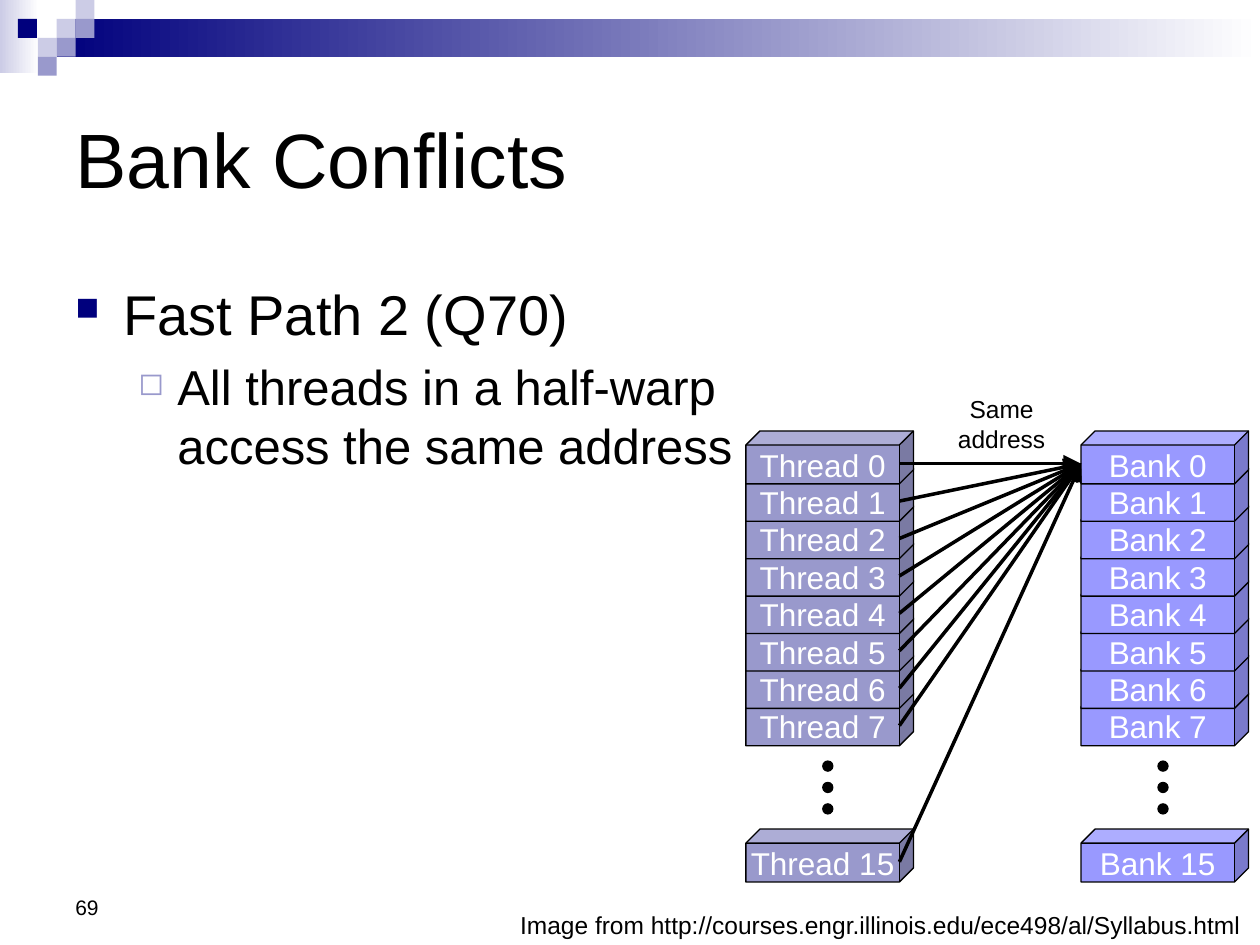
from lxml import etree
from pptx import Presentation
from pptx.dml.color import RGBColor
from pptx.enum.shapes import MSO_CONNECTOR, MSO_SHAPE
from pptx.enum.text import MSO_ANCHOR, PP_ALIGN
from pptx.oxml.ns import qn
from pptx.util import Inches, Pt

RECT, CUBE, DOT = MSO_SHAPE.RECTANGLE, MSO_SHAPE.CUBE, MSO_SHAPE.OVAL
LEFT, CENTER, RIGHT = PP_ALIGN.LEFT, PP_ALIGN.CENTER, PP_ALIGN.RIGHT
TOP, MIDDLE, BOTTOM = MSO_ANCHOR.TOP, MSO_ANCHOR.MIDDLE, MSO_ANCHOR.BOTTOM

NAVY, LAVENDER, PALE = "00007D", "9999CC", "CCCCE6"
BANK_BLUE, BLACK, WHITE = "9999FF", "000000", "FFFFFF"

WIDTH, HEIGHT = 10, 7.5
TILE = 0.15                       # grid of the corner decoration
THREAD_X, BANK_X = 5.92, 8.58     # the two stacks
STACK_TOP, ROW_PITCH = 3.42, 0.297
CUBE_W, CUBE_H, CUBE_DEPTH = 1.33, 0.42, 0.266
LAST_TOP = 6.58
# Tops of the cubes 0 to 7 and of cube 15
CUBE_TOPS = {i: STACK_TOP + i * ROW_PITCH for i in range(8)} | {15: LAST_TOP}


def color(hex_code):
    return RGBColor.from_string(hex_code)


def add_block(shapes, kind, box, fill, outline=None):
    block = shapes.add_shape(kind, *(Inches(v) for v in box))
    block.shadow.inherit = False
    if isinstance(fill, tuple):
        block.fill.gradient()
        block.fill.gradient_angle = 0
        for stop, shade in zip(block.fill.gradient_stops, fill):
            stop.color.rgb = color(shade)
    else:
        block.fill.solid()
        block.fill.fore_color.rgb = color(fill)
    if outline:
        block.line.color.rgb = color(outline)
        block.line.width = Pt(0.75)
    else:
        block.line.fill.background()
    return block


def format_paragraph(paragraph, size, shade=BLACK, align=LEFT):
    paragraph.alignment = align
    for run in paragraph.runs:
        run.font.name = "Arial"
        run.font.size = Pt(size)
        run.font.color.rgb = color(shade)


def add_text(slide, box, text, size, align=LEFT, anchor=TOP, wrap=True):
    frame = slide.shapes.add_textbox(*(Inches(v) for v in box)).text_frame
    frame.word_wrap = wrap
    frame.vertical_anchor = anchor
    frame.text = text
    for paragraph in frame.paragraphs:
        format_paragraph(paragraph, size, align=align)
    return frame


def add_bullet(paragraph, mark, shade, percent, margin, hanging):
    props = paragraph._p.get_or_add_pPr()
    props.set("marL", str(Inches(margin)))
    props.set("indent", str(-Inches(hanging)))
    bullet_color = etree.SubElement(props, qn("a:buClr"))
    etree.SubElement(bullet_color, qn("a:srgbClr"), val=shade)
    etree.SubElement(props, qn("a:buSzPct"), val=str(percent * 1000))
    etree.SubElement(props, qn("a:buChar"), char=mark)


def add_arrow(slide, start, end):
    arrow = slide.shapes.add_connector(
        MSO_CONNECTOR.STRAIGHT, *(Inches(v) for v in start + end))
    arrow.line.color.rgb = color(BLACK)
    arrow.line.width = Pt(2)
    etree.SubElement(arrow.line._get_or_add_ln(), qn("a:tailEnd"),
                     type="triangle", w="lg", len="lg")
    etree.SubElement(arrow._element.spPr, qn("a:effectLst"))


def add_stack(slide, left, label, fill):
    shapes = slide.shapes.add_group_shape().shapes
    # Bottom cube first, so that each cube covers the top of the one below
    for number, top in reversed(CUBE_TOPS.items()):
        cube = add_block(shapes, CUBE, (left, top, CUBE_W, CUBE_H), fill, BLACK)
        cube.adjustments[0] = CUBE_DEPTH
        frame = cube.text_frame
        frame.word_wrap = False
        frame.vertical_anchor = MIDDLE
        frame.text = f"{label} {number}"
        format_paragraph(frame.paragraphs[0], 18, WHITE, CENTER)
    # Dots for the cubes left out
    for i in range(3):
        add_block(shapes, DOT, (left + 0.61, 6.04 + i * 0.17, 0.08, 0.08), BLACK, BLACK)


def add_header(slide):
    add_block(slide.shapes, RECT, (0, 0, 0.31, 0.58), (PALE, WHITE))
    add_block(slide.shapes, RECT, (3 * TILE, TILE, WIDTH - 3 * TILE, 2 * TILE),
              (NAVY, WHITE))
    tiles = [(3, 1, PALE), (4, 0, PALE), (4, 1, LAVENDER), (2, 2, PALE),
             (0.95, 1, NAVY), (3, 2, LAVENDER), (2, 3, LAVENDER)]
    for column, row, shade in tiles:
        add_block(slide.shapes, RECT, (column * TILE, row * TILE, TILE, TILE), shade)


def add_body(slide):
    frame = add_text(slide, (0.5, 2.17, 5.5, 2.17),
                     "Fast Path 2 (Q70)\n"
                     "All threads in a half-warp access the same address", 32)
    topic, detail = frame.paragraphs
    add_bullet(topic, "■", NAVY, 58, 0.38, 0.38)
    detail.level = 1
    add_bullet(detail, "◻", LAVENDER, 64, 0.81, 0.31)
    detail.space_before = Pt(5.6)
    format_paragraph(detail, 28)


def main():
    prs = Presentation()
    prs.slide_width, prs.slide_height = Inches(WIDTH), Inches(HEIGHT)
    slide = prs.slides.add_slide(prs.slide_layouts[6])

    # Header, title and body
    add_header(slide)
    add_text(slide, (0.5, 0.5, 9, 1.5), "Bank Conflicts", 44, anchor=MIDDLE)
    credit = add_text(slide, (0, 7.17, WIDTH, 0.34),
                      "Image from http://courses.engr.illinois.edu/ece498/al/Syllabus.html",
                      14, RIGHT)
    credit.margin_right = Inches(0.15)
    add_body(slide)

    # Stacks, with every thread reading bank 0
    add_stack(slide, BANK_X, "Bank", BANK_BLUE)
    add_stack(slide, THREAD_X, "Thread", LAVENDER)
    face_right = THREAD_X + CUBE_W - CUBE_DEPTH * CUBE_H
    for top in CUBE_TOPS.values():
        add_arrow(slide, (face_right, top + 0.26), (BANK_X, STACK_TOP + 0.26))
    add_text(slide, (7.5, 3.08, 0.9, 0.57), "Same\naddress", 14, CENTER, wrap=False)

    # Slide number
    add_text(slide, (0.5, 6.83, 2.33, 0.52), "69", 12, anchor=BOTTOM)
    prs.save("out.pptx")


if __name__ == "__main__":
    main()
